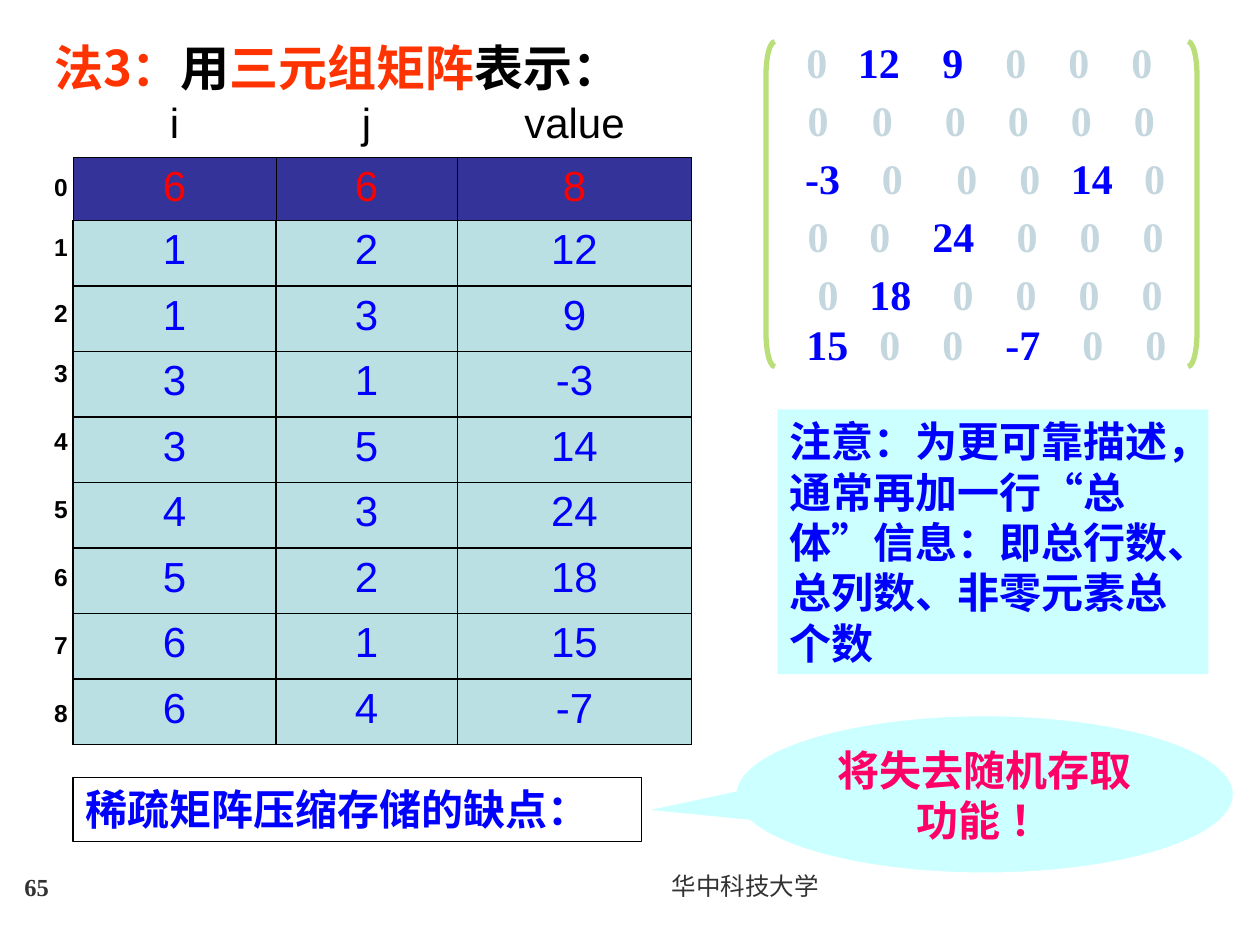
"""Build the slide on storing a sparse matrix as a table of triples."""
import lxml.etree
import pptx
import pptx.dml.color
import pptx.enum.shapes
import pptx.enum.text
import pptx.oxml.ns
import pptx.util

Inches = pptx.util.Inches
RGBColor = pptx.dml.color.RGBColor
SHAPE = pptx.enum.shapes.MSO_SHAPE
ALIGN = pptx.enum.text.PP_ALIGN
ANCHOR = pptx.enum.text.MSO_ANCHOR
qn = pptx.oxml.ns.qn

BLACK = RGBColor(0x00, 0x00, 0x00)
WHITE = RGBColor(0xFF, 0xFF, 0xFF)
GRAY = RGBColor(0x32, 0x32, 0x32)
ORANGE = RGBColor(0xFF, 0x33, 0x00)
RED = RGBColor(0xFF, 0x00, 0x00)
PINK = RGBColor(0xFF, 0x00, 0x66)
BLUE = RGBColor(0x00, 0x00, 0xFF)
NAVY = RGBColor(0x33, 0x33, 0x99)
TEAL = RGBColor(0xBB, 0xE0, 0xE3)
CYAN = RGBColor(0xCC, 0xFF, 0xFF)
PALE = RGBColor(0xC4, 0xD7, 0xDE)
GREEN = RGBColor(0xBA, 0xDE, 0x78)

SANS = "Noto Sans CJK SC"
SERIF = "Times New Roman"
PLAIN_TABLE_STYLE = "{2D5ABB26-0587-4C30-8999-92F81FD0307C}"

TRIPLES = [(1, 2, 12), (1, 3, 9), (3, 1, -3), (3, 5, 14),
           (4, 3, 24), (5, 2, 18), (6, 1, 15), (6, 4, -7)]
TRIPLE_COLUMNS = [1.61, 1.44, 1.86]
INDEX_HEIGHTS = [0.48, 0.52, 0.48, 0.54, 0.54, 0.54, 0.54, 0.54, 0.48]
MATRIX = [
    (0.33, [0, 12, 9, 0, 0, 0], [6.4, 6.81, 7.48, 7.98, 8.48, 8.98]),
    (0.79, [0, 0, 0, 0, 0, 0], [6.41, 6.92, 7.5, 8, 8.5, 9]),
    (1.25, [-3, 0, 0, 0, 14, 0], [6.39, 7, 7.59, 8.09, 8.5, 9.08]),
    (1.71, [0, 0, 24, 0, 0, 0], [6.41, 6.9, 7.4, 8.07, 8.57, 9.07]),
    (2.17, [0, 18, 0, 0, 0, 0], [6.49, 6.9, 7.56, 8.06, 8.56, 9.06]),
    (2.57, [15, 0, 0, -7, 0, 0], [6.4, 6.98, 7.48, 7.98, 8.59, 9.09]),
]


def set_values(target, values):
    """Set each named attribute on the target."""
    for name, value in values.items():
        setattr(target, name, value)


def add_run(paragraph, text, color, size=24, name=SERIF, bold=True):
    """Add one formatted run, using a Chinese face for Chinese text."""
    run = paragraph.add_run()
    run.text = text
    set_values(run.font, {"size": pptx.util.Pt(size), "name": name, "bold": bold})
    run.font.color.rgb = color
    east_asian = lxml.etree.Element(qn("a:ea"), typeface=SANS)
    run.font._element.find(qn("a:latin")).addnext(east_asian)


def fill_frame(frame, runs, align=ALIGN.LEFT, anchor=ANCHOR.TOP):
    """Write runs into the first paragraph of a text frame."""
    set_values(frame, {"word_wrap": True, "vertical_anchor": anchor,
                       "auto_size": pptx.enum.text.MSO_AUTO_SIZE.NONE})
    paragraph = frame.paragraphs[0]
    paragraph.alignment = align
    for run in runs:
        add_run(paragraph, *run)


def add_text(slide, box, runs, align):
    """Add a text box with its text in the middle of its height."""
    shape = slide.shapes.add_textbox(*map(Inches, box))
    fill_frame(shape.text_frame, runs, align, ANCHOR.MIDDLE)


def add_shape(slide, kind, box, fill=None, line=None, width=0.75):
    """Add a preset shape with the given fill and line."""
    shape = slide.shapes.add_shape(kind, *map(Inches, box))
    shape.shadow.inherit = False
    if fill is None:
        shape.fill.background()
    else:
        shape.fill.solid()
        shape.fill.fore_color.rgb = fill
    if line is None:
        shape.line.fill.background()
    else:
        shape.line.color.rgb = line
        shape.line.width = pptx.util.Pt(width)
    return shape


def add_borders(cell, width):
    """Draw black borders on all four sides of a cell."""
    properties = cell._tc.get_or_add_tcPr()
    for side in ("a:lnL", "a:lnR", "a:lnT", "a:lnB"):
        line = lxml.etree.SubElement(properties, qn(side), w=str(pptx.util.Pt(width)))
        solid = lxml.etree.SubElement(line, qn("a:solidFill"))
        lxml.etree.SubElement(solid, qn("a:srgbClr"), val=str(BLACK))


def add_table(slide, left, top, columns, heights, rows, color,
              fill=None, border=0, size=24, bold=False, align=ALIGN.CENTER):
    """Add a table whose cells all share one format."""
    frame = slide.shapes.add_table(len(rows), len(columns), Inches(left), Inches(top),
                                   Inches(sum(columns)), Inches(sum(heights)))
    table = frame.table
    set_values(table, {"first_row": False, "horz_banding": False})
    table._tbl.tblPr.find(qn("a:tableStyleId")).text = PLAIN_TABLE_STYLE
    for column, width in zip(table.columns, columns):
        column.width = Inches(width)
    for row, height, values in zip(table.rows, heights, rows):
        row.height = Inches(height)
        for cell, value in zip(row.cells, values):
            if border:
                add_borders(cell, border)
            if fill is None:
                cell.fill.background()
            else:
                cell.fill.solid()
                cell.fill.fore_color.rgb = fill
            paragraph = cell.text_frame.paragraphs[0]
            paragraph.alignment = align
            add_run(paragraph, str(value), color, size, "Arial", bold)


def add_matrix_row(slide, top, values, positions):
    """Add one matrix row, with its entries at tab stops."""
    left = positions[0]
    shape = slide.shapes.add_textbox(Inches(left), Inches(top), Inches(3), Inches(0.32))
    frame = shape.text_frame
    set_values(frame, {"margin_left": 0, "margin_right": 0,
                       "margin_top": 0, "margin_bottom": 0})
    properties = frame.paragraphs[0]._p.get_or_add_pPr()
    tabs = lxml.etree.SubElement(properties, qn("a:tabLst"))
    for position in positions[1:]:
        lxml.etree.SubElement(tabs, qn("a:tab"), pos=str(Inches(position - left)), algn="l")
    runs = [(("\t" if index else "") + str(value), BLUE if value else PALE)
            for index, value in enumerate(values)]
    fill_frame(frame, runs, anchor=ANCHOR.MIDDLE)


def add_title(slide):
    """Place and write the title."""
    title = slide.shapes.title
    box = map(Inches, (0.33, 0.25, 4.42, 0.57))
    set_values(title, dict(zip(("left", "top", "width", "height"), box)))
    parts = [("法3：", ORANGE), ("用", BLACK), ("三元组矩阵", ORANGE), ("表示：", BLACK)]
    fill_frame(title.text_frame, [(text, color, 28, SANS) for text, color in parts])


def add_matrix(slide):
    """Draw the sparse matrix between its brackets."""
    for kind, left in ((SHAPE.LEFT_BRACKET, 6.08), (SHAPE.RIGHT_BRACKET, 9.43)):
        bracket = add_shape(slide, kind, (left, 0.33, 0.07, 2.58), line=GREEN, width=3)
        bracket.adjustments[0] = 3.75
    for row in MATRIX:
        add_matrix_row(slide, *row)


def add_triples(slide):
    """Add the triple table with its headings, totals and row numbers."""
    add_table(slide, 0.58, 1.75, TRIPLE_COLUMNS, [0.52] * len(TRIPLES), TRIPLES,
              BLUE, TEAL, border=1)
    add_table(slide, 0.58, 1.25, TRIPLE_COLUMNS, [0.5], [(6, 6, 8)],
              RED, NAVY, border=0.25)
    add_table(slide, 0.58, 0.75, TRIPLE_COLUMNS, [0.5], [("i", "j", "value")], BLACK)
    add_table(slide, 0.33, 1.33, [0.33], INDEX_HEIGHTS, [(index,) for index in range(9)],
              BLACK, size=14, bold=True, align=ALIGN.LEFT)


def add_remarks(slide):
    """Add the note, the drawback label and its callout."""
    note = add_shape(slide, SHAPE.RECTANGLE, (6.17, 3.25, 3.42, 2.1), CYAN)
    parts = [("注意：为更可靠描述，通常再加一行", SANS), ("“", SERIF), ("总体", SANS),
             ("”", SERIF), ("信息：即总行数、总列数、非零元素总个数", SANS)]
    fill_frame(note.text_frame, [(text, BLUE, 24, name) for text, name in parts])
    drawback = add_shape(slide, SHAPE.RECTANGLE, (0.58, 6.17, 4.51, 0.51), line=BLACK)
    fill_frame(drawback.text_frame, [("稀疏矩阵压缩存储的缺点：", BLUE)])
    callout = add_shape(slide, SHAPE.OVAL_CALLOUT, (5.84, 5.68, 3.95, 1.25), CYAN, WHITE)
    callout.adjustments[0] = -0.68
    callout.adjustments[1] = 0.1
    fill_frame(callout.text_frame, [("将失去随机存取功能 ！", PINK)],
               ALIGN.CENTER, ANCHOR.MIDDLE)


def main():
    """Build and save the presentation."""
    presentation = pptx.Presentation()
    set_values(presentation, {"slide_width": Inches(10), "slide_height": Inches(7.5)})
    slide = presentation.slides.add_slide(presentation.slide_layouts[5])
    add_text(slide, (0.67, 6.83, 5.93, 0.4),
             [("华中科技大学", GRAY, 14, SERIF, False)], ALIGN.RIGHT)
    add_text(slide, (0, 6.83, 0.58, 0.42), [("65", GRAY, 14)], ALIGN.CENTER)
    add_title(slide)
    add_matrix(slide)
    add_triples(slide)
    add_remarks(slide)
    presentation.save("out.pptx")


if __name__ == "__main__":
    main()
